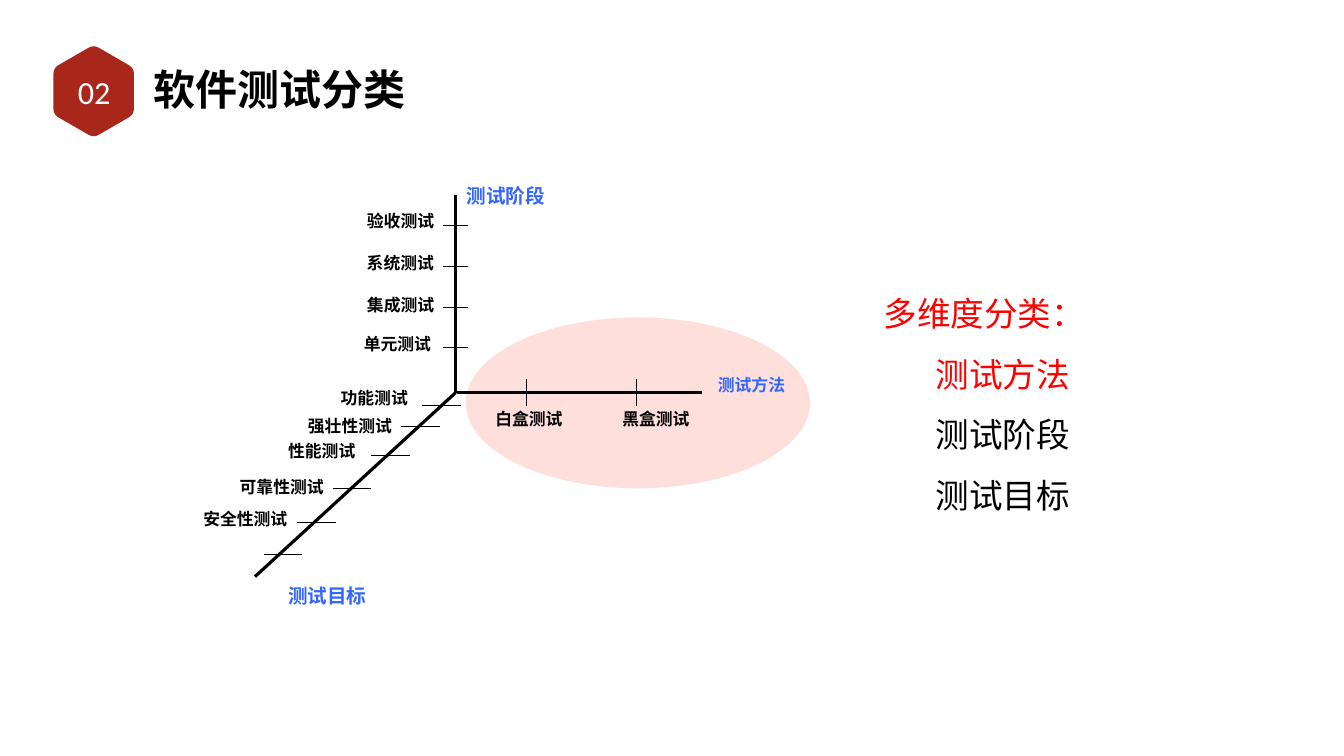
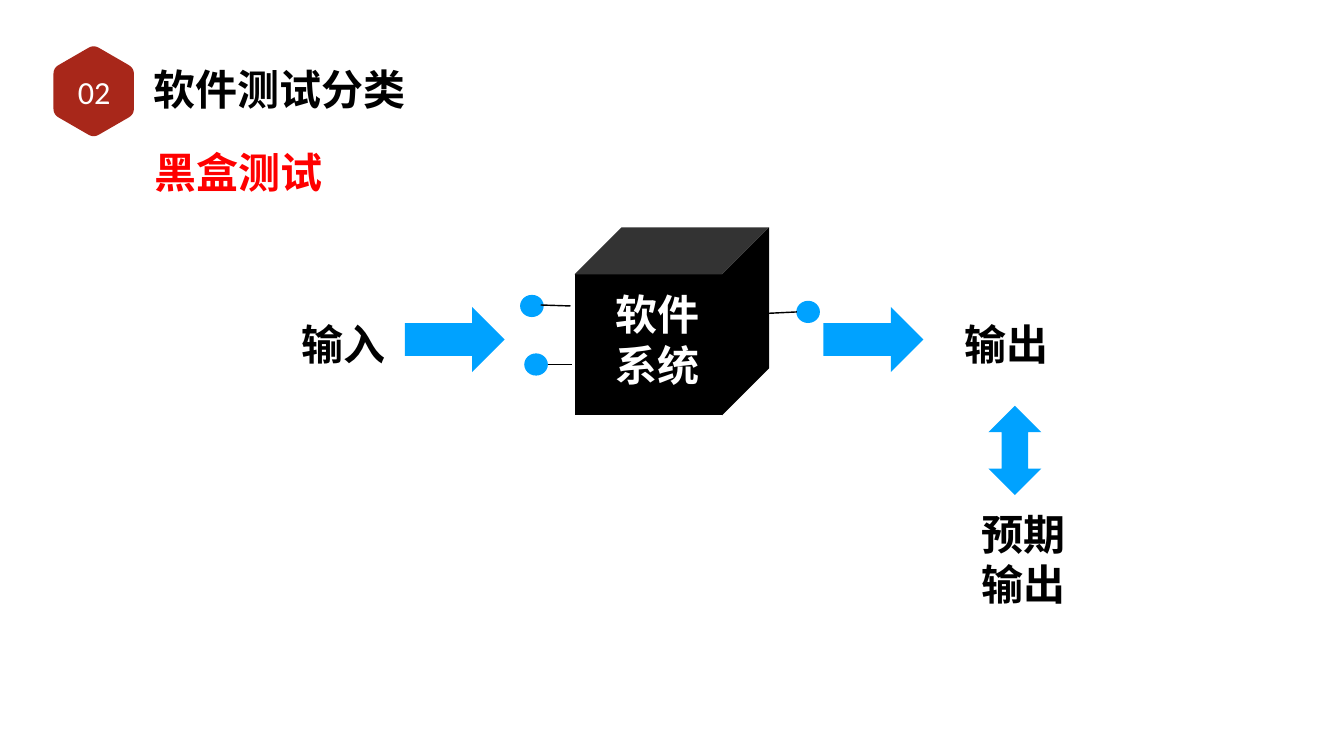
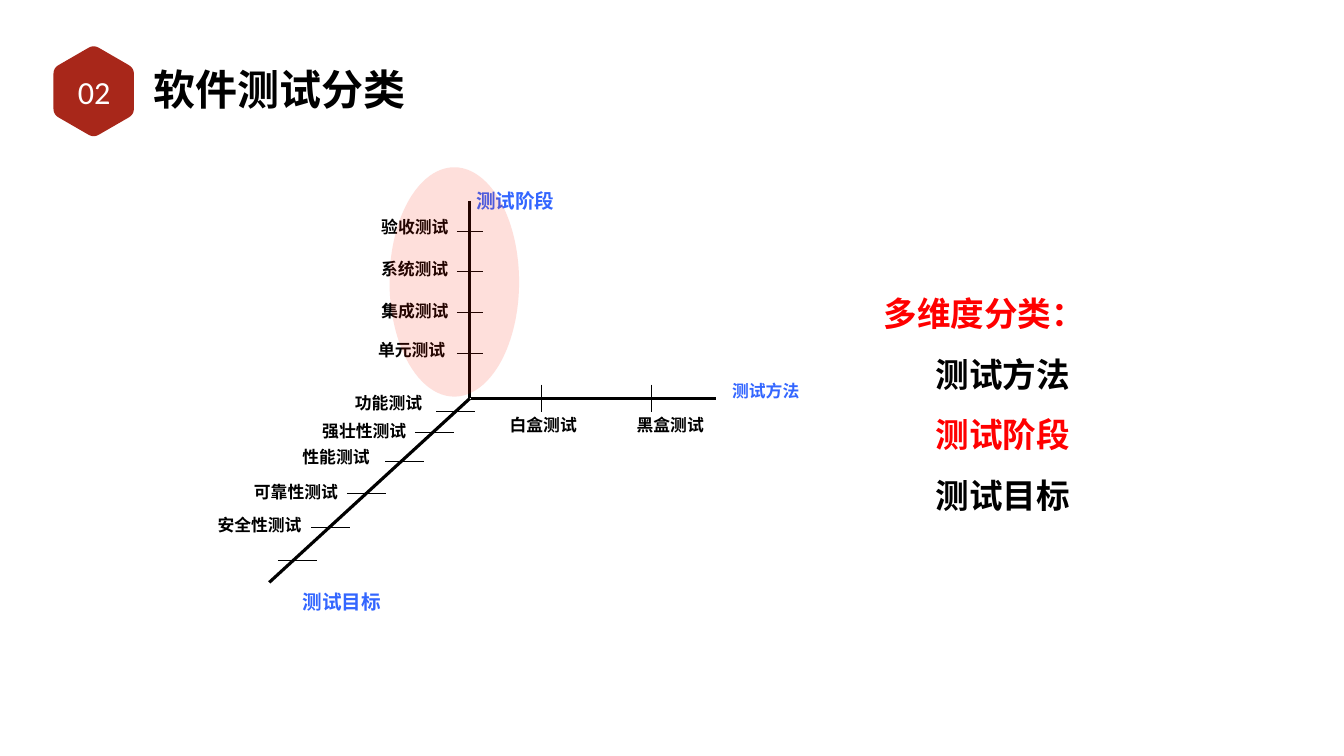
from dataclasses import dataclass
from math import cos, pi, sin

from lxml import etree
from pptx import Presentation
from pptx import util as u
from pptx.dml.color import RGBColor
from pptx.enum import shapes as es, text as et
from pptx.oxml.ns import qn

SANS, LATIN = "Noto Sans CJK SC", "Calibri"
BLACK, WHITE, RED = "000000", "FFFFFF", "FF0000"
BRICK, ROSE, BLUE, SKY = "A8271A", "FA1F00", "3366FF", "00A2FF"
KIND, ALIGN, ANCHOR = es.MSO_SHAPE, et.PP_ALIGN, et.MSO_ANCHOR


@dataclass(frozen=True)
class Box:
    x: float
    y: float
    w: float
    h: float

    def cm(self) -> list:
        return [u.Cm(v) for v in (self.x, self.y, self.w, self.h)]


@dataclass(frozen=True)
class Line:
    x1: float
    y1: float
    x2: float
    y2: float


@dataclass(frozen=True)
class Label:
    words: str
    box: Box
    size: float = 24
    color: str = BLACK
    align: ALIGN = ALIGN.CENTER
    lead: float = 1


AXES = (
    Line(22.96, 9.83, 22.96, 19.79),
    Line(22.96, 19.79, 12.85, 29.06),
    Line(23.01, 19.79, 35.38, 19.79),
)
GOALS = ((21.26, 20.42), (20.19, 21.49), (18.69, 22.94),
         (16.76, 24.59), (14.96, 26.31), (13.28, 27.94))
TICKS = (
    *(Line(22.3, 11.35 + 2.06 * i, 23.6, 11.35 + 2.06 * i) for i in range(4)),
    *(Line(x, 19.1, x, 20.47) for x in (26.54, 32.08)),
    *(Line(x, y, x + 1.96, y) for x, y in GOALS),
)
LABELS = (
    Label("测试方法", Box(35.66, 18.75, 4.42, 1.27), color=BLUE),
    Label("测试目标", Box(10.87, 29.29, 11.25, 1.45), 28, BLUE),
    Label("验收测试", Box(17.58, 10.49, 5.21, 1.27)),
    Label("系统测试", Box(17.42, 12.6, 5.51, 1.27)),
    Label("集成测试", Box(16.08, 14.71, 6.05, 1.27), align=ALIGN.RIGHT),
    Label("单元测试", Box(17.42, 16.69, 5.21, 1.27)),
    Label("功能测试", Box(16.28, 19.51, 5.16, 1.17), lead=0.9),
    Label("强壮性测试", Box(14.27, 20.8, 6.73, 1.27)),
    Label("性能测试", Box(13.61, 22.1, 5.21, 1.27)),
    Label("可靠性测试", Box(11.02, 23.88, 6.35, 1.27)),
    Label("安全性测试", Box(9.12, 25.5, 6.48, 1.27)),
    Label("白盒测试", Box(23.72, 20.47, 5.87, 1.27)),
    Label("黑盒测试", Box(30.12, 20.47, 5.87, 1.27)),
)
TOPICS = ("多维度分类：", "测试方法", "测试阶段", "测试目标")
SIGNS = (
    Label("软件\n系统", Box(30.86, 14.4, 4.57, 5.41), 60, WHITE),
    Label("预期\n输出", Box(49.28, 25.45, 4.57, 5.41), 60),
    Label("黑盒测试", Box(7.59, 7.24, 8.84, 2.84), 60, RED),
    Label("输出", Box(48.44, 15.88, 4.57, 2.84), 60),
    Label("输入", Box(15.01, 15.88, 4.57, 2.84), 60),
)
PARTS = (
    (KIND.CUBE, Box(28.96, 11.46, 9.8, 9.47), BLACK),
    (KIND.RIGHT_ARROW, Box(41.5, 15.47, 5.03, 3.28), SKY),
    (KIND.RIGHT_ARROW, Box(20.4, 15.47, 5.03, 3.28), SKY),
    (KIND.UP_DOWN_ARROW, Box(49.81, 20.45, 2.67, 4.5), SKY),
    *((KIND.OVAL, Box(x, y, 1.19, 1.12), SKY)
      for x, y in ((26.21, 14.86), (26.42, 17.81), (40.13, 15.16))),
)
WIRES = (
    Line(27.25, 15.37, 28.75, 15.42),
    Line(27.61, 18.36, 28.85, 18.36),
    Line(38.51, 15.8, 40.16, 15.72),
)


def rgb(code: str) -> RGBColor:
    return RGBColor.from_string(code)


def paint(shape, color: str, alpha: int = 100) -> None:
    """Give a flat fill with no line or shadow; alpha is in percent."""
    shape.shadow.inherit = False
    shape.line.fill.background()
    shape.fill.solid()
    shape.fill.fore_color.rgb = rgb(color)
    if alpha < 100:
        tone = shape.fill._xPr.find(qn("a:solidFill"))[0]
        etree.SubElement(tone, qn("a:alpha")).set("val", str(alpha * 1000))


def form(pool, kind: KIND, box: Box, color: str, alpha: int = 100) -> None:
    paint(pool.add_shape(kind, *box.cm()), color, alpha)


def rule(pool, line: Line, width: float) -> None:
    ends = [u.Cm(v) for v in (line.x1, line.y1, line.x2, line.y2)]
    wire = pool.add_connector(es.MSO_CONNECTOR.STRAIGHT, *ends)
    wire.line.color.rgb = rgb(BLACK)
    wire.line.width = u.Pt(width)
    etree.SubElement(wire._element.spPr, qn("a:effectLst"))


def write(pool, words: str, box: Box, *, size: float, color: str = BLACK,
          bold: bool = True, font: str = SANS, align: ALIGN = ALIGN.LEFT,
          anchor: ANCHOR = ANCHOR.TOP, inset: tuple = (0.25, 0.13),
          lead: float = 1, wrap: bool = True, grow: bool = True):
    """Add a text box, one paragraph per line, and return its paragraphs."""
    frame = pool.add_textbox(*box.cm()).text_frame
    frame.word_wrap = wrap
    frame.vertical_anchor = anchor
    mode = et.MSO_AUTO_SIZE
    frame.auto_size = mode.SHAPE_TO_FIT_TEXT if grow else mode.NONE
    frame.margin_left = frame.margin_right = u.Cm(inset[0])
    frame.margin_top = frame.margin_bottom = u.Cm(inset[1])
    frame.text = words
    for para in frame.paragraphs:
        para.alignment = align
        para.line_spacing = lead
        face = para.runs[0].font
        face.size, face.bold, face.name = u.Pt(size), bold, font
        face.color.rgb = rgb(color)
        etree.SubElement(face._rPr, qn("a:ea")).set("typeface", font)
    return frame.paragraphs


def badge(pool) -> None:
    """Draw the hexagon, each corner rounded by a quadratic curve."""
    mid, size, cut, steps = (4.72, 4.6), 2.34, 0.3, 6
    tips = [(mid[0] + size * sin(i * pi / 3), mid[1] - size * cos(i * pi / 3))
            for i in range(6)]
    dots = []
    for i, tip in enumerate(tips):
        # In a regular hexagon each side is as long as the radius.
        near, far = [[a + (b - a) * cut / size for a, b in zip(tip, side)]
                     for side in (tips[i - 1], tips[(i + 1) % 6])]
        for k in range(steps + 1):
            t = k / steps
            dots.append(tuple(
                u.Cm((1 - t) ** 2 * a + 2 * t * (1 - t) * b + t * t * c)
                for a, b, c in zip(near, tip, far)))
    pen = pool.build_freeform(*dots[0])
    pen.add_line_segments(dots[1:], close=True)
    paint(pen.convert_to_shape(), BRICK)


def start(deck):
    """Add a slide with the shared badge, number and title."""
    pool = deck.slides.add_slide(deck.slide_layouts[6]).shapes
    badge(pool)
    write(pool, "软件测试分类", Box(7.59, 3, 15.29, 2.9), size=60,
          anchor=ANCHOR.MIDDLE, inset=(0.15, 0.15), grow=False)
    write(pool, "02", Box(2.54, 3.28, 4.42, 2.67), size=46, color=WHITE,
          bold=False, font=LATIN, align=ALIGN.CENTER, anchor=ANCHOR.MIDDLE,
          inset=(0.13, 0.13), grow=False)
    return pool


def graph(pool, dx: float = 0, dy: float = 0, stage: float = 20.24) -> None:
    """Draw the three axes as a group; stage is the left of the top label."""
    group = pool.add_group_shape()
    for line in AXES:
        rule(group.shapes, line, 4.5)
    for line in TICKS:
        rule(group.shapes, line, 1)
    top = Label("测试阶段", Box(stage, 9.12, 10.49, 1.45), 28, BLUE)
    for label in (*LABELS, top):
        write(group.shapes, label.words, label.box, size=label.size,
              color=label.color, align=label.align, lead=label.lead)
    group.left += u.Cm(dx)
    group.top += u.Cm(dy)


def topics(pool, hot: str, bold: bool) -> None:
    """List the dimensions, with the heading and the hot one in red."""
    paras = write(pool, "\n".join(TOPICS), Box(44.27, 13.64, 15.6, 12.57),
                  size=48, bold=bold, lead=1.5)
    for para in paras:
        if para.text in (TOPICS[0], hot):
            para.runs[0].font.color.rgb = rgb(RED)
    for para in paras[1:]:
        para._p.get_or_add_pPr().set("marL", str(u.Cm(2.63)))


def method(deck) -> None:
    pool = start(deck)
    form(pool, KIND.OVAL, Box(23.47, 16, 17.35, 8.61), ROSE, 14)
    topics(pool, "测试方法", False)
    graph(pool)


def system(deck) -> None:
    pool = start(deck)
    for kind, box, color in PARTS:
        form(pool, kind, box, color)
    for wire in WIRES:
        rule(pool, wire, 2)
    for sign in SIGNS:
        write(pool, sign.words, sign.box, size=sign.size, color=sign.color,
              align=sign.align, anchor=ANCHOR.MIDDLE, inset=(0.15, 0.15),
              wrap=False)


def stage(deck) -> None:
    pool = start(deck)
    graph(pool, 0.72, 0.29, stage=20)
    form(pool, KIND.OVAL, Box(19.63, 8.43, 6.53, 11.56), ROSE, 14)
    topics(pool, "测试阶段", True)


def main() -> None:
    deck = Presentation()
    deck.slide_width, deck.slide_height = u.Cm(67.73), u.Cm(38.1)
    for build in (method, system, stage):
        build(deck)
    deck.save("out.pptx")


if __name__ == "__main__":
    main()
